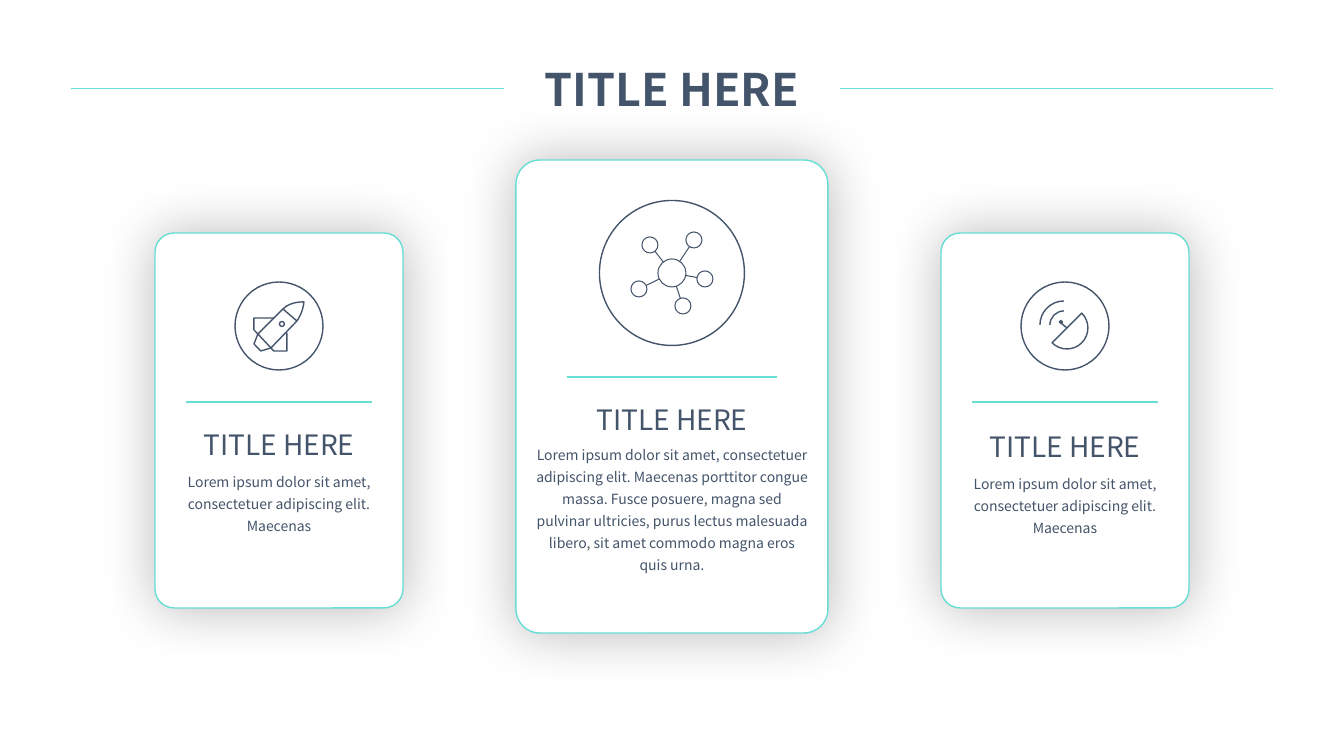
from math import cos, hypot, radians, sin

from lxml.etree import SubElement
from pptx import Presentation
from pptx.dml.color import RGBColor
from pptx.enum.shapes import MSO_CONNECTOR, MSO_SHAPE
from pptx.enum.text import PP_ALIGN
from pptx.oxml.ns import qn
from pptx.util import Emu, Pt

SLATE = RGBColor(0x44, 0x54, 0x6A)
TURQUOISE = RGBColor(0x66, 0xDD, 0xD5)
WHITE = RGBColor(0xFF, 0xFF, 0xFF)

WIDTH, HEIGHT = 1344, 756
EMU_PER_PX = 12192000 / WIDTH
QUARTER_HANDLE = 0.55  # Bezier handle of a quarter circle, in radii

SHORT_TEXT = "Lorem ipsum dolor sit amet, consectetuer adipiscing elit. Maecenas"
LONG_TEXT = SHORT_TEXT + (
    " porttitor congue massa. Fusce posuere, magna sed pulvinar ultricies, "
    "purus lectus malesuada libero, sit amet commodo magna eros quis urna."
)


def px(length):
    return Emu(round(length * EMU_PER_PX))


# Icons: lists of (points, curved, closed), measured from the icon's centre
def arc(x, y, radius, start=0, quarters=4, closed=True):
    points = []
    for quarter in range(quarters):
        a = radians(start + 90 * quarter)
        c, s, k = cos(a), sin(a), QUARTER_HANDLE
        turns = [(c, s), (c - k * s, s + k * c), (k * c - s, k * s + c), (-s, c)]
        points += [(x + radius * u, y + radius * v) for u, v in turns[bool(points):]]
    return points, True, closed


def stroke(*points):
    return points, False, False


def rocket():
    nose = [(4, -17), (12, -25), (25, -24), (25, -24), (24, -13), (18, -5), (18, -5)]
    return [
        (nose, True, False),
        stroke((18, -5), (-8, 22), (-18, 25), (-25, 18), (-21, 8), (4, -17), (18, -5)),
        stroke((-5, -8), (-25, -8), (-25, 4), (-21, 8)),
        stroke((-21, 8), (-8, 22), (-5, 25), (8, 25), (8, 7)),
        arc(3, -2, 2.5),
    ]


def antenna():
    waves = [arc(-1, -1, radius, 180, 1, False) for radius in (14, 24)]
    dish = arc(2, 2, 21, -45, 2)
    return [dish, stroke((2, 2), (-4, -3)), arc(-4, -4, 1.5)] + waves


def molecule():
    hub_radius, atom_radius = 14, 8
    contours = [arc(0, 0, hub_radius)]
    for x, y in [(22, -33), (-22, -28), (-33, 16), (11, 33), (33, 6)]:
        distance = hypot(x, y)
        bond = [(x * reach / distance, y * reach / distance)
                for reach in (hub_radius, distance - atom_radius)]
        contours += [arc(x, y, atom_radius), stroke(*bond)]
    return contours


class Deck:
    font = "Noto Sans CJK SC"

    def __init__(self):
        self.presentation = Presentation()
        self.presentation.slide_width = px(WIDTH)
        self.presentation.slide_height = px(HEIGHT)
        self.slide = self.presentation.slides.add_slide(self.presentation.slide_layouts[6])
        self.shapes = self.slide.shapes

    def start_group(self):
        self.shapes = self.slide.shapes.add_group_shape().shapes

    def rule(self, left, right, y, weight):
        line = self.shapes.add_connector(
            MSO_CONNECTOR.STRAIGHT, px(left), px(y), px(right), px(y))
        line.line.color.rgb = TURQUOISE
        line.line.width = Pt(weight)
        SubElement(line._element.spPr, qn("a:effectLst"))

    def text(self, x, y, width, height, words, size, bold=False, spacing=None):
        box = self.shapes.add_textbox(px(x), px(y), px(width), px(height))
        frame = box.text_frame
        frame.word_wrap = True
        frame.text = words
        paragraph = frame.paragraphs[0]
        paragraph.alignment = PP_ALIGN.CENTER
        if spacing:
            paragraph.line_spacing = spacing
        font = paragraph.runs[0].font
        font.name, font.size, font.bold = self.font, Pt(size), bold
        font.color.rgb = SLATE

    def panel(self, x, y, width, height):
        panel = self.shapes.add_shape(
            MSO_SHAPE.ROUNDED_RECTANGLE, px(x), px(y), px(width), px(height))
        panel.adjustments[0] = 0.077
        panel.fill.solid()
        panel.fill.fore_color.rgb = WHITE
        panel.line.color.rgb = TURQUOISE
        panel.line.width = Pt(1)
        # Soft shadow on all sides
        panel.shadow.inherit = False
        effects = panel._element.spPr.find(qn("a:effectLst"))
        shadow = SubElement(effects, qn("a:outerShdw"), blurRad=str(Pt(40)),
                            dist="0", dir="0", algn="ctr", rotWithShape="0")
        black = SubElement(shadow, qn("a:srgbClr"), val="000000")
        SubElement(black, qn("a:alpha"), val="28000")

    def outline(self, shape, weight):
        shape.shadow.inherit = False
        shape.fill.background()
        shape.line.color.rgb = SLATE
        shape.line.width = Pt(weight)

    def ring(self, x, y, diameter):
        ring = self.shapes.add_shape(
            MSO_SHAPE.OVAL, px(x - diameter / 2), px(y - diameter / 2),
            px(diameter), px(diameter))
        self.outline(ring, 1)

    def icon(self, x, y, contours, weight):
        builder = None
        for points, _, closed in contours:
            first, *rest = [(px(x + dx), px(y + dy)) for dx, dy in points]
            if builder is None:
                builder = self.shapes.build_freeform(*first)
            else:
                builder.move_to(*first)
            builder.add_line_segments(rest, close=closed)
        icon = builder.convert_to_shape()
        self.outline(icon, weight)
        # Every three segments of a curved contour become one Bezier curve
        segments = list(icon._element.iter(qn("a:lnTo")))
        for points, curved, _ in contours:
            count = len(points) - 1
            if curved:
                for i in range(0, count, 3):
                    self.bend(segments[i:i + 3])
            segments = segments[count:]

    def bend(self, segments):
        outline = segments[0].getparent()
        curve = SubElement(outline, qn("a:cubicBezTo"))
        segments[0].addprevious(curve)
        for segment in segments:
            curve.append(segment[0])
            outline.remove(segment)

    def card(self, center, top, width, height, ring_y, diameter, icon, weight,
             rule_y, rule_width, title_y, body_y, body_height, words):
        self.start_group()
        self.panel(center - width // 2, top, width, height)
        self.rule(center - rule_width // 2, center + rule_width // 2, rule_y, 1)
        text_width = width - 18
        text_x = center - text_width // 2
        self.text(text_x, title_y, text_width, 44, "TITLE HERE", 20)
        self.text(text_x, body_y, text_width, body_height, words, 10, spacing=1.3)
        self.icon(center, ring_y, icon, weight)
        self.ring(center, ring_y, diameter)


def main():
    deck = Deck()

    # Heading between two rules
    for left in (71, 840):
        deck.rule(left, left + 433, 88, 0.5)
    deck.text(504, 57, 336, 65, "TITLE HERE", 32, bold=True)

    # Side cards
    for center, icon, title_y in [(279, rocket(), 423), (1065, antenna(), 425)]:
        deck.card(center, 233, 248, 375, 326, 88, icon, 1,
                  402, 186, title_y, title_y + 41, 75, SHORT_TEXT)

    # Middle card
    deck.card(672, 160, 312, 473, 273, 145, molecule(), 0.75,
              377, 210, 398, 437, 162, LONG_TEXT)

    deck.presentation.save("out.pptx")


if __name__ == "__main__":
    main()
